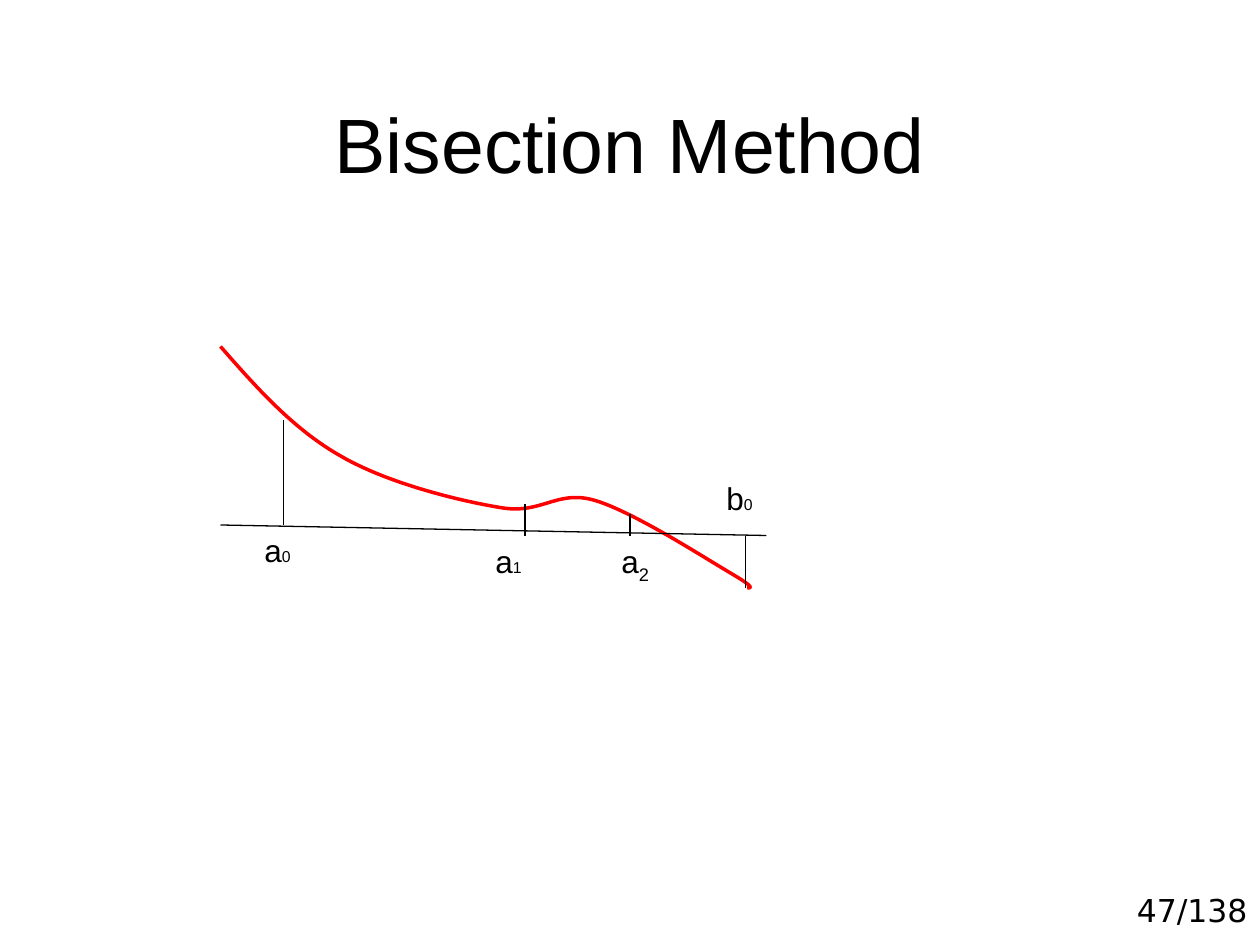
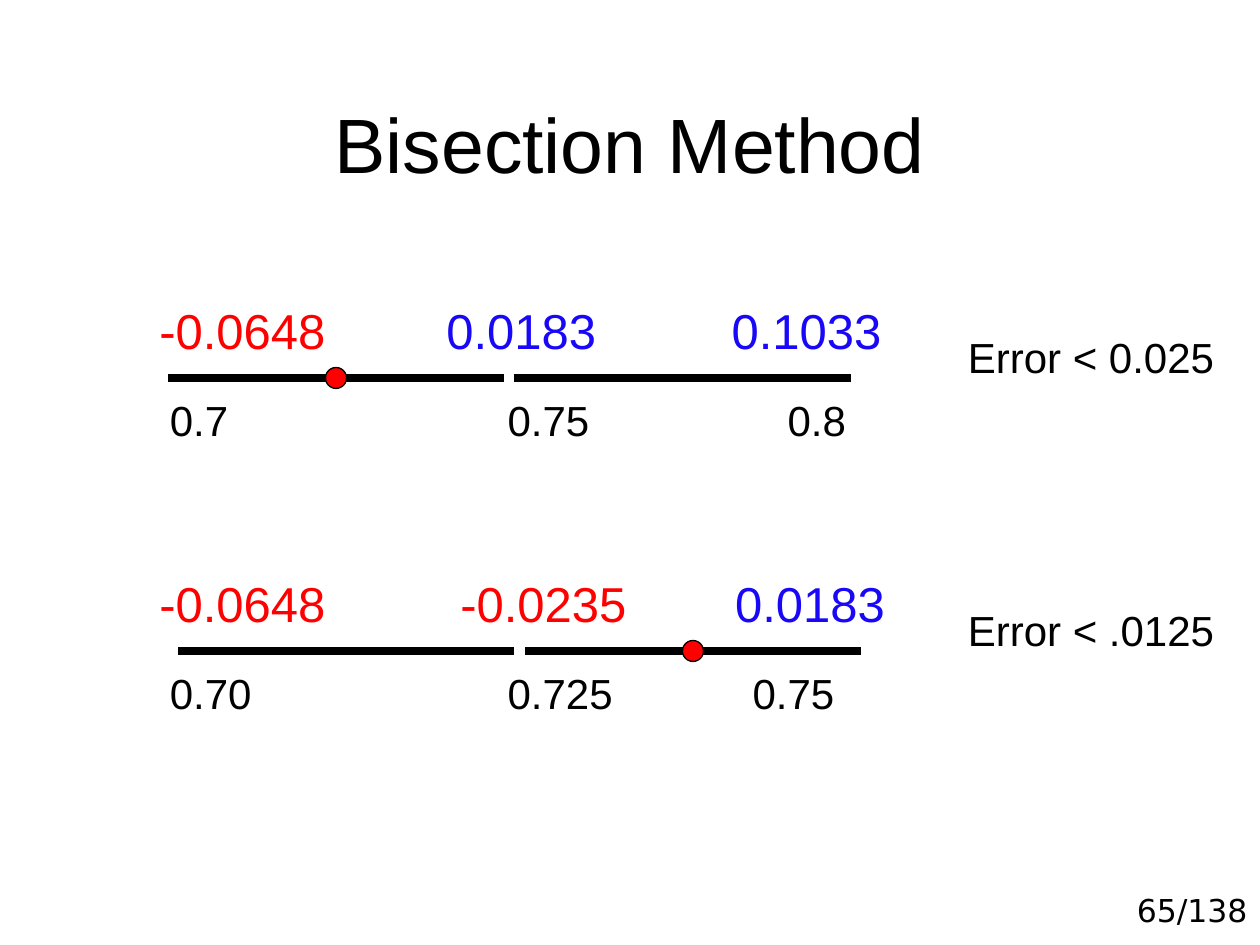
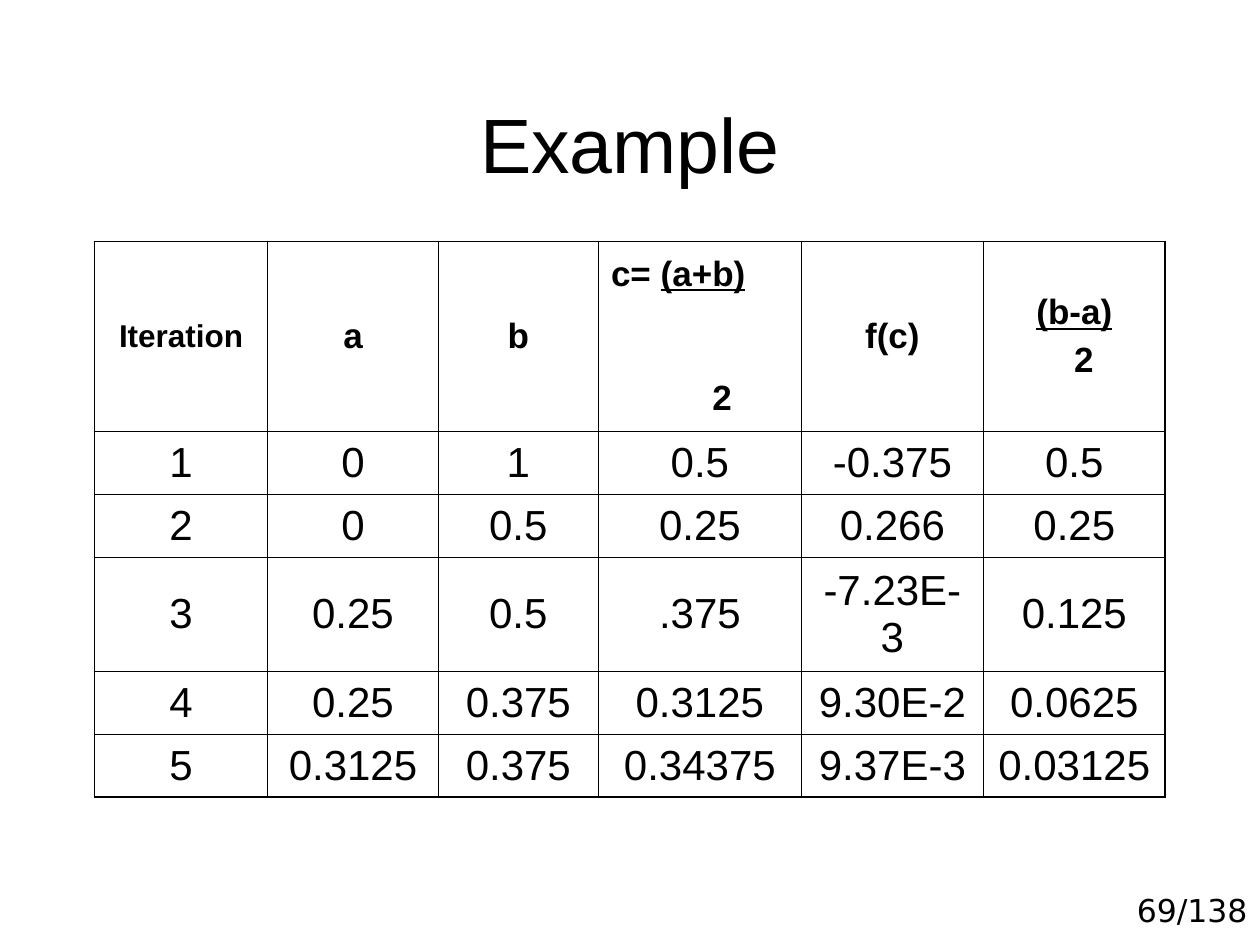
from dataclasses import dataclass

from lxml.etree import SubElement as Sub
from pptx import Presentation
from pptx.dml.color import RGBColor as Rgb
from pptx.enum.shapes import MSO_CONNECTOR as Link, MSO_SHAPE as Form
from pptx.enum.text import MSO_ANCHOR as Anchor, MSO_AUTO_SIZE as Fit, PP_ALIGN as Align
from pptx.oxml.ns import qn
from pptx.util import Pt


@dataclass(frozen=True)
class Theme:
    ink: str = "000000"
    red: str = "FF0000"
    blue: str = "1908F8"
    face: str = "Arial"
    page: str = "DejaVu Sans"
    title: int = 44
    value: int = 28
    body: int = 24
    head: int = 20
    label: int = 18
    tiny: int = 9
    thin: float = 0.75
    curve: float = 2
    thick: float = 4.5
    inner: float = 0.45
    outer: float = 1.08


T = Theme()


def write(par, text, size=T.body, color=T.ink, face=T.face, bold=False, under=False, base=0):
    run = par.add_run()
    run.text = text
    font = run.font
    font.name, font.size, font.bold, font.underline = face, Pt(size), bold, under
    font.color.rgb = Rgb.from_string(color)
    if base:
        run._r.get_or_add_rPr().set("baseline", str(base * 1000))


def box(slide, left, top, width, height, align=Align.LEFT):
    frame = slide.shapes.add_textbox(Pt(left), Pt(top), Pt(width), Pt(height)).text_frame
    frame.word_wrap = True
    par = frame.paragraphs[0]
    par.alignment = align
    return par


def stroke(line, width, color=T.ink):
    line.color.rgb = Rgb.from_string(color)
    line.width = Pt(width)


def rule(slide, x1, y1, x2, y2, width=T.thin):
    line = slide.shapes.add_connector(Link.STRAIGHT, Pt(x1), Pt(y1), Pt(x2), Pt(y2))
    stroke(line.line, width)
    Sub(line._element.spPr, qn("a:effectLst"))


def dot(slide, x, y, size=12):
    disc = slide.shapes.add_shape(
        Form.OVAL, Pt(x - size / 2), Pt(y - size / 2), Pt(size), Pt(size))
    disc.shadow.inherit = False
    disc.fill.solid()
    disc.fill.fore_color.rgb = Rgb.from_string(T.red)
    stroke(disc.line, T.thin)


def bend(start, parts, steps=24):
    spots = []
    for one, two, end in parts:
        for step in range(1, steps + 1):
            t = step / steps
            u = 1 - t
            spots.append(tuple(
                Pt(u**3 * a + 3 * u * u * t * b + 3 * u * t * t * c + t**3 * d)
                for a, b, c, d in zip(start, one, two, end)))
        start = end
    return spots


def curve(slide, start, parts):
    pen = slide.shapes.build_freeform(Pt(start[0]), Pt(start[1]))
    pen.add_line_segments(bend(start, parts), close=False)
    shape = pen.convert_to_shape()
    shape.shadow.inherit = False
    shape.fill.background()
    stroke(shape.line, T.curve, T.red)


def tabs(par, stops):
    group = Sub(par._p.get_or_add_pPr(), qn("a:tabLst"))
    for stop in stops:
        Sub(group, qn("a:tab"), pos=str(Pt(stop)), algn="l")


def start(deck, title, page):
    slide = deck.slides.add_slide(deck.slide_layouts[5])
    head = slide.shapes.title
    head.left, head.top, head.width, head.height = Pt(36), Pt(21.6), Pt(648), Pt(90)
    frame = head.text_frame
    frame.auto_size = Fit.NONE
    frame.vertical_anchor = Anchor.BOTTOM
    par = frame.paragraphs[0]
    par.alignment = Align.CENTER
    write(par, title, size=T.title)
    par = box(slide, 606, 505.5, 114, 34, Align.RIGHT)
    write(par, f"{page}/138", size=T.label, face=T.page)
    return slide


def mark(slide, left, top, name, index, width=54, **form):
    par = box(slide, left, top, width, 29)
    write(par, name, size=T.label)
    write(par, index, **form)


def plot(slide):
    curve(slide, (126, 198), [
        ((147, 222), (168, 245.5), (194.5, 260.5)),
        ((221, 276), (261.5, 286), (285.5, 290)),
        ((309.5, 294.5), (318, 279.5), (340, 286)),
        ((362, 292.5), (403, 319), (417.5, 327.5)),
        ((432, 336), (429, 336), (427, 336)),
    ])
    rule(slide, 126, 300, 438, 306)
    for x, top, low in [(162, 240, 300), (300, 288, 306), (360, 294, 306), (426, 306, 336)]:
        rule(slide, x, top, x, low)
    for left, top, name, index in [(144, 300, "a", "0"), (408, 270, "b", "0"), (276, 306, "a", "1")]:
        mark(slide, left, top, name, index, size=T.tiny)
    mark(slide, 348, 306, "a", "2", width=36, size=T.label, base=-25)


def split(slide, left, y, pick, values, stops, ends, marks, error):
    half, gap = 192, 6
    par = box(slide, 90, y + 6, 402, 36)
    tabs(par, marks)
    write(par, "\t".join(ends))
    par = box(slide, 84, y - 48, 432, 41)
    tabs(par, stops)
    for i, value in enumerate(values):
        color = T.red if value.startswith("-") else T.blue
        write(par, "\t" * (i > 0) + value, size=T.value, color=color)
    write(box(slide, 546, y - 30, 174, 36), error)
    for i in range(2):
        x = left + i * (half + gap)
        rule(slide, x, y, x + half, y, T.thick)
    dot(slide, left + pick * (half + gap) + half / 2, y)


def edge(cell, sides):
    props = cell._tc.get_or_add_tcPr()
    for side, width in sides:
        line = Sub(props, qn(f"a:ln{side}"), w=str(Pt(width)))
        fill = Sub(line, qn("a:solidFill"))
        Sub(fill, qn("a:srgbClr"), val=T.ink)


def grid(slide, left, top, cols, rows):
    table = slide.shapes.add_table(
        len(rows), len(cols), Pt(left), Pt(top), Pt(sum(cols)), Pt(sum(rows))).table
    table.first_row = table.horz_banding = False
    for col, width in zip(table.columns, cols):
        col.width = Pt(width)
    for row, height in zip(table.rows, rows):
        row.height = Pt(height)
    for r in range(len(rows)):
        for c in range(len(cols)):
            cell = table.cell(r, c)
            cell.vertical_anchor = Anchor.MIDDLE
            cell.text_frame.paragraphs[0].alignment = Align.CENTER
            ends = {"L": c == 0, "R": c == len(cols) - 1, "T": r == 0, "B": r == len(rows) - 1}
            edge(cell, [(side, T.outer if last else T.inner) for side, last in ends.items()])
            cell.fill.background()
    return table


def ratio(cell, lead, over, under, align, indent, space):
    par = cell.text_frame.paragraphs[0]
    par.alignment = align
    if lead:
        write(par, lead, size=T.head, bold=True)
    write(par, over, size=T.head, bold=True, under=True)
    par = cell.text_frame.add_paragraph()
    par.alignment = align
    par.space_before = Pt(space)
    par._p.get_or_add_pPr().set("marL", str(Pt(indent)))
    write(par, under, size=T.head, bold=True)


def steps(slide):
    table = grid(slide, 54, 138, [99, 97.5, 91.5, 116, 104, 104], [108.5, 36, 36, 64.5, 36, 36])
    for c, name in {0: "Iteration", 1: "a", 2: "b", 4: "f(c)"}.items():
        size = T.head if c else T.label
        write(table.cell(0, c).text_frame.paragraphs[0], name, size=size, bold=True)
    ratio(table.cell(0, 3), "c= ", "(a+b)", "2", Align.LEFT, 58, 49)
    ratio(table.cell(0, 5), "", "(b-a)", "2", Align.CENTER, 11, 5)
    data = [
        ("1", "0", "1", "0.5", "-0.375", "0.5"),
        ("2", "0", "0.5", "0.25", "0.266", "0.25"),
        ("3", "0.25", "0.5", ".375", "-7.23E-3", "0.125"),
        ("4", "0.25", "0.375", "0.3125", "9.30E-2", "0.0625"),
        ("5", "0.3125", "0.375", "0.34375", "9.37E-3", "0.03125"),
    ]
    for r, row in enumerate(data, 1):
        for c, value in enumerate(row):
            write(table.cell(r, c).text_frame.paragraphs[0], value)


def main():
    deck = Presentation()
    deck.slide_width, deck.slide_height = Pt(720), Pt(540)
    plot(start(deck, "Bisection Method", 47))
    slide = start(deck, "Bisection Method", 65)
    split(slide, 96, 216, 0, ["-0.0648", "0.0183", "0.1033"], [164, 327],
          ["0.7", "0.75", "0.8"], [193, 353], "Error < 0.025")
    split(slide, 102, 372, 1, ["-0.0648", "-0.0235", "0.0183"], [172, 329],
          ["0.70", "0.725", "0.75"], [193, 333], "Error < .0125")
    steps(start(deck, "Example", 69))
    deck.save("out.pptx")


if __name__ == "__main__":
    main()
